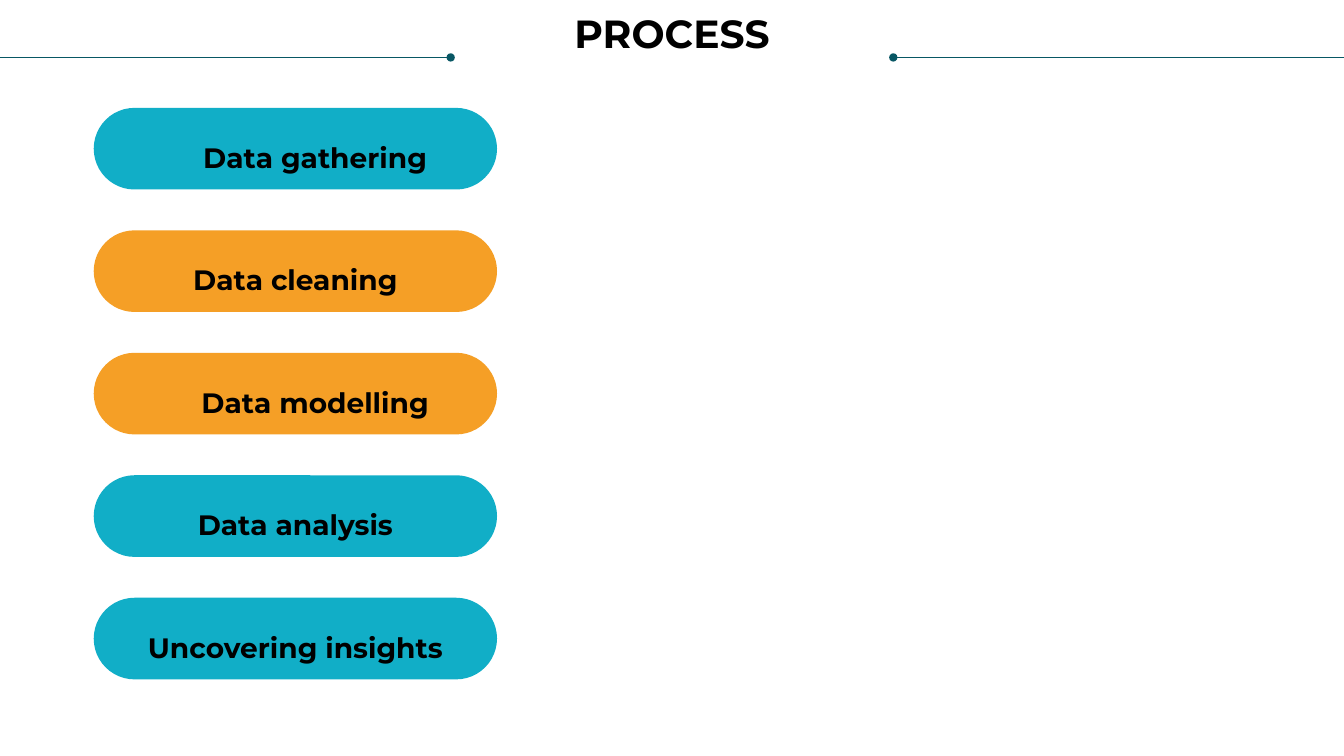
from lxml import etree
from pptx import Presentation
from pptx.dml.color import RGBColor
from pptx.enum.shapes import MSO_CONNECTOR, MSO_SHAPE
from pptx.enum.text import MSO_ANCHOR, PP_ALIGN
from pptx.oxml.ns import qn
from pptx.util import Inches, Pt


def rgb(hex_string):
    return RGBColor.from_string(hex_string)


def write(sp, text, size, spacing, anchor=MSO_ANCHOR.TOP, inset=0, indent=0):
    """Put one bold centred line of text in a shape; inset and indent are inches."""
    tf = sp.text_frame
    tf.word_wrap = True
    tf.vertical_anchor = anchor
    tf.margin_left = Inches(inset + indent)
    tf.margin_right = Inches(inset)
    tf.margin_top = tf.margin_bottom = Inches(inset / 2)
    p = tf.paragraphs[0]
    p.alignment = PP_ALIGN.CENTER
    p.line_spacing = spacing
    r = p.add_run()
    r.text = text
    r.font.name = "Montserrat"
    r.font.size = Pt(size)
    r.font.bold = True
    r.font.color.rgb = rgb("000000")


prs = Presentation()
prs.slide_width, prs.slide_height = Inches(13.33), Inches(7.5)
s = prs.slides.add_slide(prs.slide_layouts[6])

title = s.shapes.add_textbox(Inches(0.25), Inches(0.14), Inches(12.83), Inches(0.85))
write(title, "PROCESS", 28, 0.9)

# Rules either side of the title, each with a dot at its inner end
for x1, x2, dot_end in [(0, 4.47, "a:tailEnd"), (8.86, 13.33, "a:headEnd")]:
    rule = s.shapes.add_connector(
        MSO_CONNECTOR.STRAIGHT, Inches(x1), Inches(0.57), Inches(x2), Inches(0.57))
    rule.line.color.rgb = rgb("085764")
    rule.line.width = Pt(0.5)
    etree.SubElement(rule.line._get_or_add_ln(), qn(dot_end), type="oval")
    etree.SubElement(rule._element.spPr, qn("a:effectLst"))

# Process steps, evenly spaced from the first to the last
TEAL, ORANGE = "11AEC7", "F59F26"
steps = [
    ("Data gathering", TEAL, 0.39),
    ("Data cleaning", ORANGE, 0),
    ("Data modelling", ORANGE, 0.39),
    ("Data analysis", TEAL, 0),
    ("Uncovering insights", TEAL, 0),
]
first_top, last_top = 1.07, 5.93
pitch = (last_top - first_top) / (len(steps) - 1)
for i, (label, color, indent) in enumerate(steps):
    pill = s.shapes.add_shape(
        MSO_SHAPE.ROUNDED_RECTANGLE,
        Inches(0.93), Inches(first_top + i * pitch), Inches(4), Inches(0.81))
    pill.adjustments[0] = 0.5
    pill.shadow.inherit = False
    pill.fill.solid()
    pill.fill.fore_color.rgb = rgb(color)
    pill.line.fill.background()
    write(pill, label, 20, 1.5, MSO_ANCHOR.MIDDLE, inset=0.1, indent=indent)

prs.save("out.pptx")
